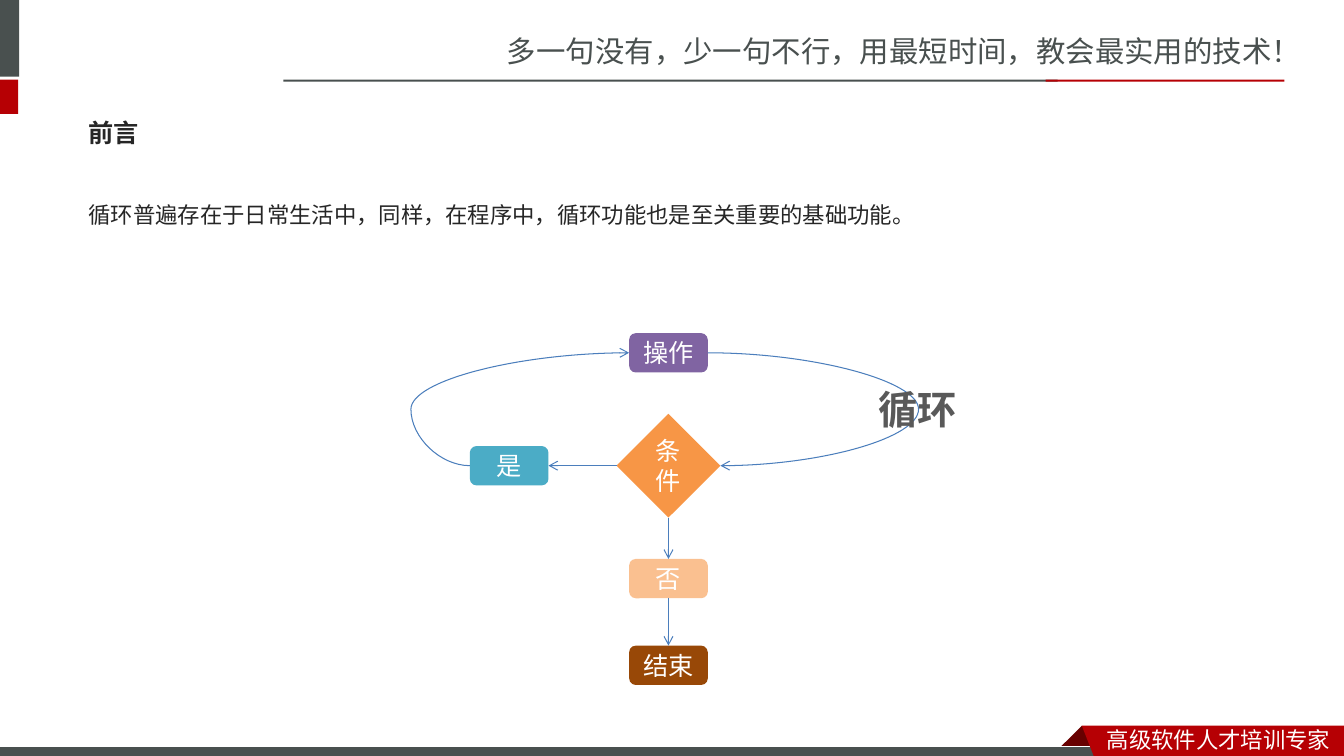
"""Build the loop introduction slide with its flowchart."""
import dataclasses

import pptx
import pptx.dml.color
import pptx.enum.dml
import pptx.enum.shapes
import pptx.enum.text
import pptx.oxml
import pptx.oxml.ns
import pptx.util

Inches = pptx.util.Inches
SHAPE = pptx.enum.shapes.MSO_SHAPE
LINE = pptx.enum.shapes.MSO_CONNECTOR
ALIGN = pptx.enum.text.PP_ALIGN
ANCHOR = pptx.enum.text.MSO_ANCHOR
TOP, LEFT, BOTTOM, RIGHT = range(4)


@dataclasses.dataclass(frozen=True)
class Theme:
    """Colours, fonts and type sizes of the slide."""
    grey: str = "49504F"
    red: str = "B60004"
    dark_red: str = "680000"
    white: str = "FFFFFF"
    ink: str = "262626"
    label: str = "595959"
    arrow: str = "4B7EBC"
    purple: str = "8064A2"
    orange: str = "F79646"
    teal: str = "4BACC6"
    peach: str = "FAC090"
    brown: str = "984807"
    sans: str = "Noto Sans CJK SC"
    body: str = "Noto Sans CJK JP"
    node: str = "Calibri"
    slogan_size: float = 21
    title_size: float = 18
    body_size: float = 16
    node_size: float = 18
    label_size: float = 28


def rgb(value):
    """Turn a hex string into a colour."""
    return pptx.dml.color.RGBColor.from_string(value)


class SlideBuilder:
    """Hold the theme and the current slide, and add elements to it."""

    def __init__(self, slide, theme):
        """Keep the slide and theme."""
        self.s, self.theme = slide, theme

    def set_text(self, sp, text, size, color, font, bold=False,
                 align=ALIGN.LEFT, anchor=ANCHOR.TOP, spacing=None):
        """Put one formatted paragraph in a shape."""
        tf = sp.text_frame
        tf.text = text
        tf.word_wrap = True
        tf.auto_size = pptx.enum.text.MSO_AUTO_SIZE.NONE
        tf.vertical_anchor = anchor
        p = tf.paragraphs[0]
        p.alignment = align
        p.line_spacing = spacing
        r = p.runs[0]
        r.font.size = pptx.util.Pt(size)
        r.font.bold = bold
        r.font.name = font
        r.font.color.rgb = rgb(color)
        if font != self.theme.node:
            ea = pptx.oxml.parse_xml(
                f'<a:ea {pptx.oxml.ns.nsdecls("a")} typeface="{font}"/>')
            r.font._element.find(pptx.oxml.ns.qn("a:latin")).addnext(ea)

    def title(self, box, text):
        """Place and format the title placeholder."""
        sp = self.s.shapes.title
        sp.left, sp.top, sp.width, sp.height = map(Inches, box)
        self.set_text(sp, text, self.theme.title_size, self.theme.ink,
                      self.theme.body, bold=True, anchor=ANCHOR.MIDDLE)

    def text(self, box, text, size, color, font, **style):
        """Add a text box."""
        sp = self.s.shapes.add_textbox(*map(Inches, box))
        self.set_text(sp, text, size, color, font, **style)

    def paint(self, sp, fill, line=None):
        """Give a shape a flat fill and an optional outline."""
        sp.shadow.inherit = False
        sp.fill.solid()
        sp.fill.fore_color.rgb = rgb(fill)
        if line:
            sp.line.color.rgb = rgb(line)
            sp.line.width = pptx.util.Pt(0.75)
        else:
            sp.line.fill.background()

    def shape(self, kind, box, fill, line=None):
        """Add a preset shape."""
        sp = self.s.shapes.add_shape(kind, *map(Inches, box))
        self.paint(sp, fill, line)
        return sp

    def polygon(self, points, fill):
        """Add a closed outline."""
        (x, y), *rest = [(Inches(x), Inches(y)) for x, y in points]
        builder = self.s.shapes.build_freeform(x, y)
        builder.add_line_segments(rest, close=True)
        self.paint(builder.convert_to_shape(), fill)

    def node(self, text, center, fill, size=(0.78, 0.39),
             kind=SHAPE.ROUNDED_RECTANGLE):
        """Add a flowchart node around its centre."""
        (cx, cy), (w, h) = center, size
        sp = self.shape(kind, (cx - w / 2, cy - h / 2, w, h), fill)
        self.set_text(sp, text, self.theme.node_size, self.theme.white,
                      self.theme.node, align=ALIGN.CENTER, anchor=ANCHOR.MIDDLE)
        return sp

    def arrow(self, start, start_side, end, end_side, bend=None):
        """Join two nodes with an arrow, curved when a bend is given."""
        kind = LINE.STRAIGHT if bend is None else LINE.CURVE
        cxn = self.s.shapes.add_connector(kind, 0, 0, 0, 0)
        cxn.begin_connect(start, start_side)
        cxn.end_connect(end, end_side)
        cxn.line.color.rgb = rgb(self.theme.arrow)
        cxn.line.width = pptx.util.Pt(0.75)
        ns = pptx.oxml.ns.nsdecls("a")
        cxn.line._get_or_add_ln().append(
            pptx.oxml.parse_xml(f'<a:tailEnd {ns} type="arrow"/>'))
        sppr = cxn._element.spPr
        sppr.append(pptx.oxml.parse_xml(f"<a:effectLst {ns}/>"))
        if bend is not None:
            geom = sppr.find(pptx.oxml.ns.qn("a:prstGeom"))
            geom.get_or_add_avLst().append(pptx.oxml.parse_xml(
                f'<a:gd {ns} name="adj1" fmla="val {round(bend * 100000)}"/>'))


def add_frame(b, t):
    """Add the header and footer."""
    b.text((4.93, 0.28, 8.41, 0.47),
           "多一句没有，少一句不行，用最短时间，教会最实用的技术！",
           t.slogan_size, t.grey, t.sans)
    for box, fill in (((-0.06, 0, 0.25, 0.76), t.grey),
                      ((-0.06, 0.79, 0.24, 0.34), t.red),
                      ((2.81, 0.79, 7.68, 0.02), t.grey),
                      ((10.37, 0.79, 2.37, 0.02), t.red)):
        b.shape(SHAPE.RECTANGLE, box, fill)
    b.polygon([(10.73, 7.2), (10.95, 7.42), (10.94, 7.43),
               (10.52, 7.43), (10.51, 7.42)], t.dark_red)
    b.shape(SHAPE.RECTANGLE, (-0.01, 7.41, 11, 0.12), t.grey, t.white)
    b.polygon([(10.73, 7.2), (13.33, 7.2), (13.33, 7.54), (10.86, 7.53)], t.red)
    b.text((10.88, 7.15, 2.45, 0.37), "高级软件人才培训专家",
           t.body_size, t.white, t.sans)


def add_flowchart(b, t):
    """Add the loop flowchart."""
    axis, middle = 6.63, 4.62
    condition = b.node("条件", (axis, middle), t.orange, (1.03, 1.03), SHAPE.DIAMOND)
    yes = b.node("是", (5.05, middle), t.teal)
    no = b.node("否", (axis, 5.74), t.peach)
    action = b.node("操作", (axis, 3.5), t.purple)
    finish = b.node("结束", (axis, 6.6), t.brown)
    b.arrow(condition, LEFT, yes, RIGHT)
    b.arrow(yes, LEFT, action, LEFT, bend=-0.37)
    b.arrow(action, RIGHT, condition, RIGHT, bend=16.7)
    b.arrow(condition, BOTTOM, no, TOP)
    b.arrow(no, BOTTOM, finish, TOP)
    b.text((8.61, 3.77, 0.99, 0.57), "循环", t.label_size, t.label, t.sans,
           bold=True, align=ALIGN.CENTER)


def main():
    """Build and save the presentation."""
    prs = pptx.Presentation()
    prs.slide_width, prs.slide_height = Inches(13.33), Inches(7.5)
    t = Theme()
    b = SlideBuilder(prs.slides.add_slide(prs.slide_layouts[5]), t)
    add_frame(b, t)
    b.title((0.78, 1.03, 11.7, 0.57), "前言")
    b.text((0.78, 1.81, 11.7, 4.61),
           "循环普遍存在于日常生活中，同样，在程序中，循环功能也是至关重要的基础功能。",
           t.body_size, t.ink, t.body, spacing=1.5)
    add_flowchart(b, t)
    prs.save("out.pptx")


if __name__ == "__main__":
    main()
